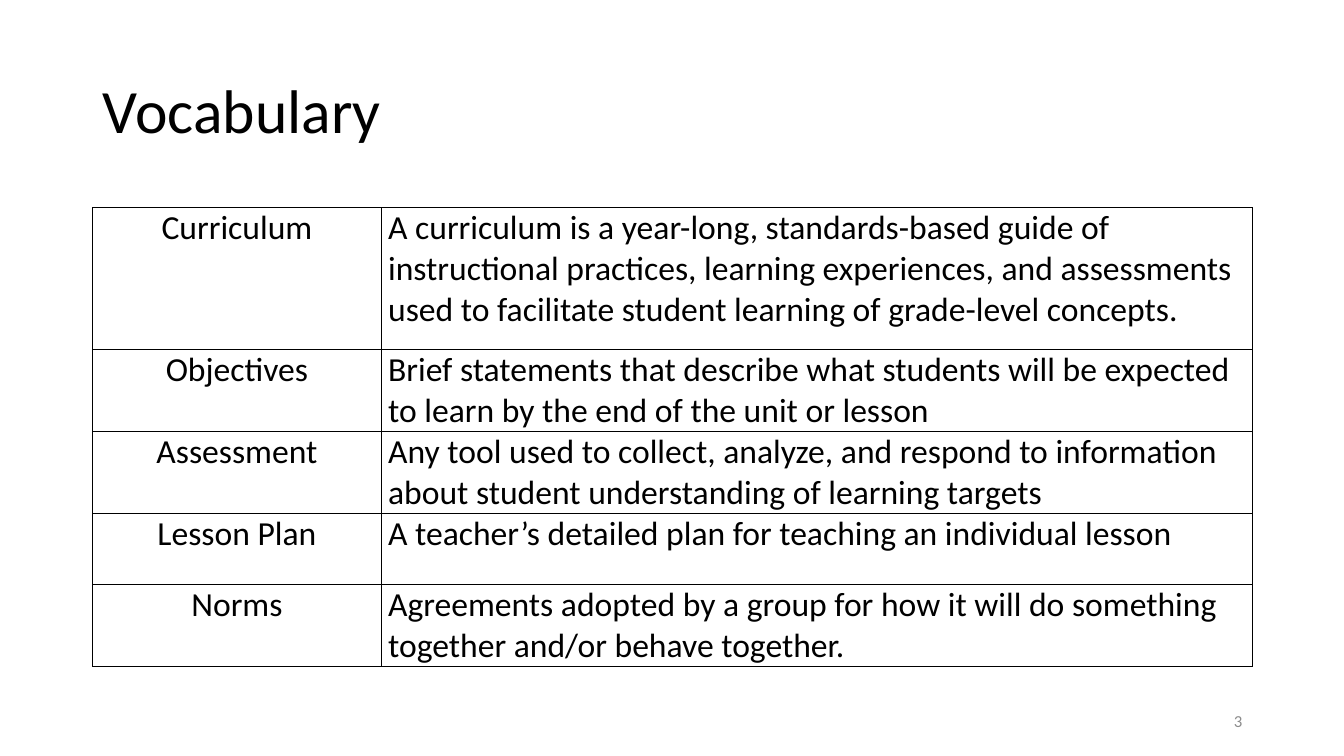
from lxml.etree import SubElement
from pptx import Presentation
from pptx.dml.color import RGBColor
from pptx.enum.text import MSO_ANCHOR, MSO_AUTO_SIZE, PP_ALIGN
from pptx.oxml.ns import qn
from pptx.util import Inches, Pt

BLACK = RGBColor(0x00, 0x00, 0x00)
GRAY = RGBColor(0x8C, 0x8C, 0x8C)
FONT = "Calibri"
LEFT, WIDTH = 0.92, 11.5
COL_WIDTHS = [2.86, 8.64]
ROW_HEIGHTS = [1.41, 0.7, 0.7, 0.7, 0.7]

VOCABULARY = [
    ("Curriculum", "A curriculum is a year-long, standards-based guide of instructional practices, "
                   "learning experiences, and assessments used to facilitate student learning of "
                   "grade-level concepts."),
    ("Objectives", "Brief statements that describe what students will be expected to learn by the "
                   "end of the unit or lesson"),
    ("Assessment", "Any tool used to collect, analyze, and respond to information about student "
                   "understanding of learning targets"),
    ("Lesson Plan", "A teacher’s detailed plan for teaching an individual lesson"),
    ("Norms", "Agreements adopted by a group for how it will do something together and/or behave "
              "together."),
]


def write(tf, text, size, color=BLACK, align=PP_ALIGN.LEFT, line=None, after=None):
    tf.word_wrap = True
    p = tf.paragraphs[0]
    p.alignment = align
    p.line_spacing = line
    p.space_after = after
    r = p.add_run()
    r.text = text
    r.font.name = FONT
    r.font.size = Pt(size)
    r.font.bold = False
    r.font.color.rgb = color


def set_borders(cell, color=BLACK, width=1):
    tcPr = cell._tc.get_or_add_tcPr()
    for i, side in enumerate(("lnL", "lnR", "lnT", "lnB")):
        ln = SubElement(tcPr, qn(f"a:{side}"), w=str(Pt(width)))
        fill = SubElement(ln, qn("a:solidFill"))
        SubElement(fill, qn("a:srgbClr"), val=str(color))
        tcPr.insert(i, ln)


def add_title(s, text, left, top, width, height):
    sp = s.shapes.title
    sp.left, sp.top = Inches(left), Inches(top)
    sp.width, sp.height = Inches(width), Inches(height)
    tf = sp.text_frame
    tf.auto_size = MSO_AUTO_SIZE.NONE
    tf.vertical_anchor = MSO_ANCHOR.MIDDLE
    write(tf, text, 44, line=0.9)


def add_vocabulary(s, entries, left, top, width, height):
    table = s.shapes.add_table(len(entries), len(COL_WIDTHS), Inches(left), Inches(top),
                               Inches(width), Inches(height)).table
    table.first_row = table.horz_banding = False
    for column, w in zip(table.columns, COL_WIDTHS):
        column.width = Inches(w)
    for row, h, entry in zip(table.rows, ROW_HEIGHTS, entries):
        row.height = Inches(h)
        for cell, text, align in zip(row.cells, entry, (PP_ALIGN.CENTER, PP_ALIGN.LEFT)):
            cell.margin_left = cell.margin_right = Inches(0.07)
            cell.margin_top = cell.margin_bottom = 0
            cell.fill.background()
            set_borders(cell)
            write(cell.text_frame, text, 24, align=align, after=Pt(6))


def add_page_number(s, number, left, top, width, height):
    sp = s.shapes.add_textbox(Inches(left), Inches(top), Inches(width), Inches(height))
    sp.text_frame.vertical_anchor = MSO_ANCHOR.MIDDLE
    write(sp.text_frame, number, 12, color=GRAY, align=PP_ALIGN.RIGHT)


def main():
    prs = Presentation()
    prs.slide_width, prs.slide_height = Inches(13.33), Inches(7.5)
    s = prs.slides.add_slide(prs.slide_layouts[5])
    add_title(s, "Vocabulary", LEFT, 0.4, WIDTH, 1.45)
    add_vocabulary(s, VOCABULARY, LEFT, 2.06, WIDTH, sum(ROW_HEIGHTS))
    add_page_number(s, "3", LEFT + WIDTH - 3, 6.95, 3, 0.4)
    prs.save("out.pptx")


if __name__ == "__main__":
    main()
